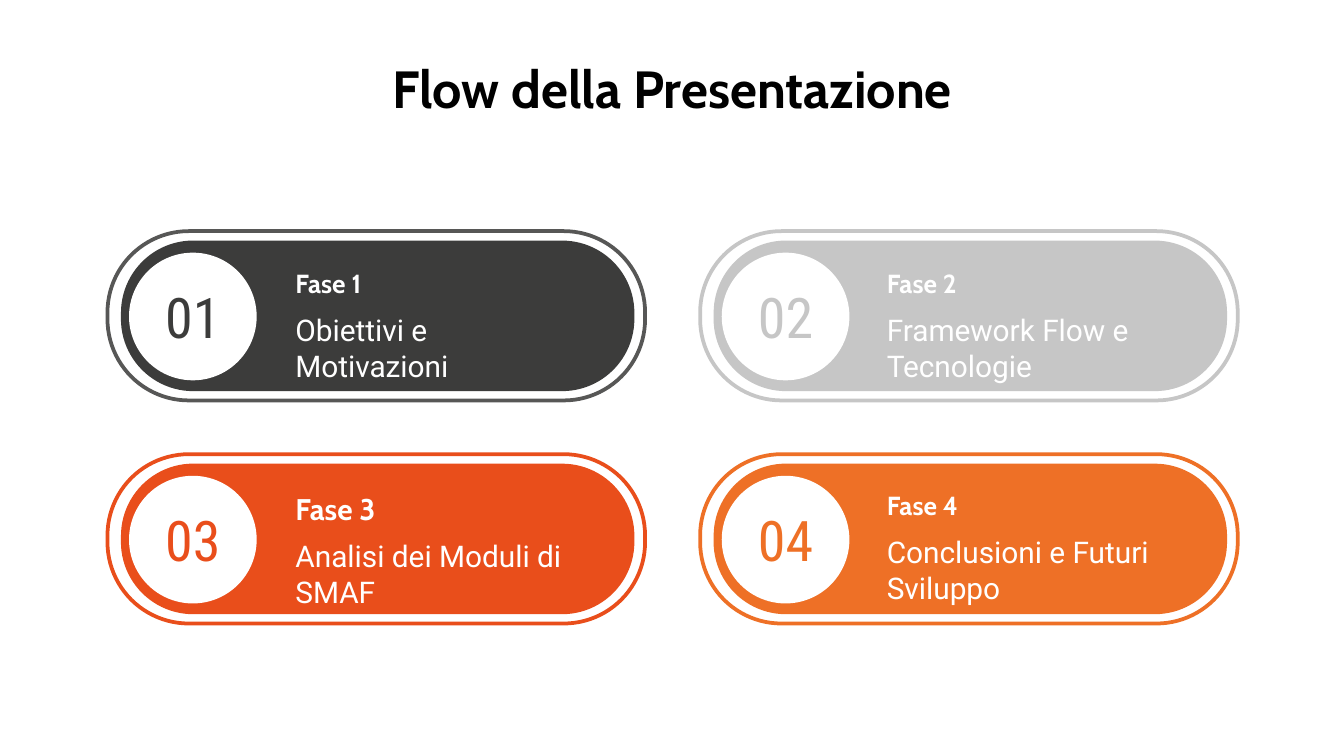
from dataclasses import dataclass

from pptx import Presentation
from pptx import util as u
from pptx.dml.color import RGBColor
from pptx.enum import shapes, text

BLACK = RGBColor(0x00, 0x00, 0x00)
WHITE = RGBColor(0xFF, 0xFF, 0xFF)
DARK = RGBColor(0x3C, 0x3C, 0x3B)
SLATE = RGBColor(0x57, 0x57, 0x56)
SILVER = RGBColor(0xC6, 0xC6, 0xC6)
RED = RGBColor(0xE9, 0x4E, 0x1B)
ORANGE = RGBColor(0xEE, 0x70, 0x26)

SLIDE_WIDTH = u.Inches(10)
SLIDE_HEIGHT = SLIDE_WIDTH * 9 // 16
LEFT, TOP = 0.8, 1.72
COL_PITCH, ROW_PITCH = 4.41, 1.66
TEXT_LEFT, TEXT_TOP = 2.1, 1.91
TEXT_COL, TEXT_ROW = 4.4, 1.65
ROUNDING = 0.48


@dataclass(frozen=True)
class Phase:
    number: int
    label: str
    topic: str
    fill: RGBColor
    ring: RGBColor
    label_size: int = 14
    text_drop: float = 0
    align: text.PP_ALIGN = text.PP_ALIGN.LEFT


PHASES = [
    Phase(1, "Fase 1", "Obiettivi e Motivazioni", DARK, SLATE, align=text.PP_ALIGN.JUSTIFY),
    Phase(2, "Fase 2", "Framework Flow e Tecnologie", SILVER, SILVER),
    Phase(3, "Fase 3", "Analisi dei Moduli di SMAF", RED, RED, 16, 0.03),
    Phase(4, "Fase 4", "Conclusioni e Futuri Sviluppo", ORANGE, ORANGE),
]


def write(sp, words: str, font: str, size: int, color: RGBColor, bold: bool = False,
          align=text.PP_ALIGN.LEFT, anchor=text.MSO_ANCHOR.TOP) -> None:
    tf = sp.text_frame
    tf.word_wrap = True
    tf.auto_size = text.MSO_AUTO_SIZE.NONE
    tf.vertical_anchor = anchor
    tf.margin_left = tf.margin_right = tf.margin_top = tf.margin_bottom = u.Inches(0.1)
    p = tf.paragraphs[0]
    p.text = words
    p.alignment = align
    p.font.name, p.font.size, p.font.bold = font, u.Pt(size), bold
    p.font.color.rgb = color


def add_shape(s, kind, x: float, y: float, w: float, h: float,
              fill: RGBColor | None = None, line: RGBColor | None = None):
    sp = s.shapes.add_shape(kind, *map(u.Inches, (x, y, w, h)))
    sp.shadow.inherit = False
    if fill is None:
        sp.fill.background()
    else:
        sp.fill.solid()
        sp.fill.fore_color.rgb = fill
    if line is None:
        sp.line.fill.background()
    else:
        sp.line.color.rgb = line
        sp.line.width = u.Pt(2)
    if kind == shapes.MSO_SHAPE.ROUNDED_RECTANGLE:
        sp.adjustments[0] = ROUNDING
    return sp


def add_text(s, x: float, y: float, w: float, h: float, words: str, **style) -> None:
    sp = s.shapes.add_textbox(*map(u.Inches, (x, y, w, h)))
    write(sp, words, color=WHITE, **style)


def draw_phase(s, phase: Phase) -> None:
    row, col = divmod(phase.number - 1, 2)
    x, y = LEFT + col * COL_PITCH, TOP + row * ROW_PITCH
    pill = shapes.MSO_SHAPE.ROUNDED_RECTANGLE
    add_shape(s, pill, x + 0.1, y + 0.07, 3.82, 1.12, fill=phase.fill)
    disc = add_shape(s, shapes.MSO_SHAPE.OVAL, x + 0.16, y + 0.16, 0.95, 0.95, fill=WHITE)
    write(disc, f"{phase.number:02}", "Roboto Condensed", 30, phase.fill,
          align=text.PP_ALIGN.CENTER, anchor=text.MSO_ANCHOR.MIDDLE)
    disc.text_frame.word_wrap = False
    add_shape(s, pill, x, y, 4, 1.26, line=phase.ring)

    x = TEXT_LEFT + col * TEXT_COL
    y = TEXT_TOP + row * TEXT_ROW + phase.text_drop
    add_text(s, x, y + 0.31, 2.23, 0.75, phase.topic, font="Roboto", size=16)
    add_text(s, x, y, 1.83, 0.39, phase.label, font="Cabin", size=phase.label_size,
             bold=True, align=phase.align, anchor=text.MSO_ANCHOR.MIDDLE)


def main() -> None:
    prs = Presentation()
    prs.slide_width, prs.slide_height = SLIDE_WIDTH, SLIDE_HEIGHT
    s = prs.slides.add_slide(prs.slide_layouts[5])
    title = s.shapes.title
    title.left, title.top, title.width, title.height = map(u.Inches, (0.5, 0.32, 9, 0.63))
    write(title, "Flow della Presentazione", "Cabin", 28, BLACK, bold=True,
          align=text.PP_ALIGN.CENTER)
    for phase in PHASES:
        draw_phase(s, phase)
    prs.save("out.pptx")


if __name__ == "__main__":
    main()
